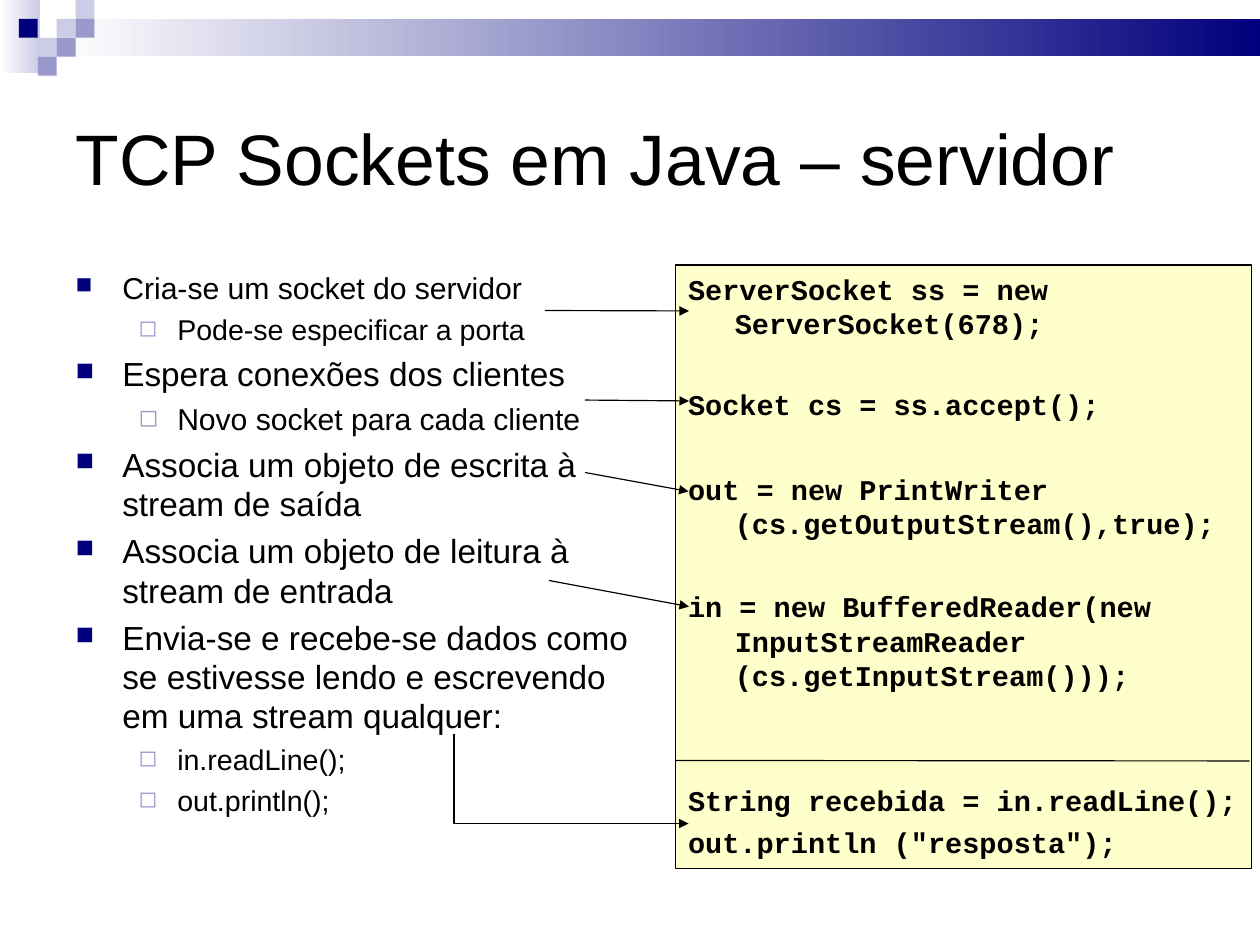
from lxml.etree import SubElement
from pptx import Presentation
from pptx.dml.color import RGBColor
from pptx.enum.shapes import MSO_CONNECTOR, MSO_SHAPE
from pptx.enum.text import MSO_ANCHOR, PP_ALIGN
from pptx.oxml.ns import qn
from pptx.util import Cm, Pt

COLORS = {
    "black": "000000",
    "white": "FFFFFF",
    "navy": "00007D",
    "violet": "9999CC",
    "lavender": "CCCCE6",
    "code": "FFFFCC",
}
TILE = 0.42

# column, row, colour
TILES = [
    (3, 1, "lavender"), (4, 0, "lavender"), (4, 1, "violet"),
    (2, 2, "lavender"), (1, 1, "navy"), (3, 2, "violet"), (2, 3, "violet"),
]

# bullet character, colour, size in percent, left margin, hanging indent
BULLETS = [
    ("■", "navy", 75, 1.04, 1.04),
    ("◻", "violet", 80, 2.26, 0.86),
]

# text, level, size, space before
TOPICS = [
    ("Cria-se um socket do servidor", 0, 19, 0),
    ("Pode-se especificar a porta", 1, 18, 4.5),
    ("Espera conexões dos clientes", 0, 21, 5.2),
    ("Novo socket para cada cliente", 1, 19, 4.8),
    ("Associa um objeto de escrita à stream de saída", 0, 21, 5.2),
    ("Associa um objeto de leitura à stream de entrada", 0, 21, 5.2),
    ("Envia-se e recebe-se dados como se estivesse lendo e escrevendo "
     "em uma stream qualquer:", 0, 21, 5.2),
    ("in.readLine();", 1, 18, 4.5),
    ("out.println();", 1, 18, 4.5),
]

# statement, space before
STATEMENTS = [
    ("ServerSocket ss = new ServerSocket(678);", 0),
    ("Socket cs = ss.accept();", 29.5),
    ("out = new PrintWriter (cs.getOutputStream(),true);", 31.5),
    ("in = new BufferedReader(new InputStreamReader (cs.getInputStream()));", 31),
    ("String recebida = in.readLine();", 57.5),
    ('out.println ("resposta");', 4.5),
]

# start and end points of the arrows from topic to statement
ARROWS = [
    (12.11, 6.9, 15.31, 6.91),
    (13, 8.89, 15.31, 8.91),
    (13, 10.5, 15.3, 10.92),
    (12.2, 12.9, 15.31, 13.48),
    (10.09, 18.3, 15.3, 18.3),
]


def color(name):
    return RGBColor.from_string(COLORS[name])


def add_block(page, left, top, width, height, fill, line=None):
    block = page.shapes.add_shape(
        MSO_SHAPE.RECTANGLE, Cm(left), Cm(top), Cm(width), Cm(height))
    block.shadow.inherit = False
    block.fill.solid()
    block.fill.fore_color.rgb = color(fill)
    if line:
        block.line.color.rgb = color(line)
        block.line.width = Pt(0.75)
    else:
        block.line.fill.background()
    return block


def add_fade(page, left, top, width, height, start, end):
    """Add a block that runs from the start colour to the end colour."""
    block = add_block(page, left, top, width, height, end)
    block.fill.gradient()
    block.fill.gradient_angle = 0
    for stop, name in zip(block.fill.gradient_stops, (start, end)):
        stop.color.rgb = color(name)


def add_line(page, start_x, start_y, end_x, end_y, arrow=False):
    line = page.shapes.add_connector(
        MSO_CONNECTOR.STRAIGHT, Cm(start_x), Cm(start_y), Cm(end_x), Cm(end_y))
    line.line.color.rgb = color("black")
    line.line.width = Pt(0.75)
    if arrow:
        outline = line._element.spPr.find(qn("a:ln"))
        SubElement(outline, qn("a:tailEnd"), type="triangle")
    SubElement(line._element.spPr, qn("a:effectLst"))


def prepare_frame(shape, anchor=MSO_ANCHOR.TOP):
    frame = shape.text_frame
    frame.word_wrap = True
    frame.vertical_anchor = anchor
    frame.margin_left = frame.margin_right = Cm(0.28)
    frame.margin_top = frame.margin_bottom = Cm(0.15)
    return frame


def add_text_box(page, left, top, width, height, **frame_format):
    box = page.shapes.add_textbox(Cm(left), Cm(top), Cm(width), Cm(height))
    return prepare_frame(box, **frame_format)


def set_indent(para, margin, hanging):
    properties = para._p.get_or_add_pPr()
    properties.set("marL", str(Cm(margin)))
    properties.set("indent", str(-Cm(hanging)))
    return properties


def set_bullet(para, level):
    character, tint, size, margin, hanging = BULLETS[level]
    para.level = level
    properties = set_indent(para, margin, hanging)
    bullet_color = SubElement(properties, qn("a:buClr"))
    SubElement(bullet_color, qn("a:srgbClr"), val=COLORS[tint])
    SubElement(properties, qn("a:buSzPct"), val=str(size * 1000))
    SubElement(properties, qn("a:buChar"), char=character)


def add_text(frame, text, size, font="Arial", bold=False, before=0,
             spacing=1.0, level=None, hanging=None):
    para = frame.paragraphs[0]
    if para.runs:
        para = frame.add_paragraph()
    if level is not None:
        set_bullet(para, level)
    elif hanging:
        set_indent(para, hanging, hanging)
    para.alignment = PP_ALIGN.LEFT
    para.space_before = Pt(before)
    para.line_spacing = spacing
    span = para.add_run()
    span.text = text
    span.font.name = font
    span.font.size = Pt(size)
    span.font.bold = bold
    span.font.color.rgb = color("black")


def add_header(page):
    add_fade(page, 0, 0, 0.88, 1.63, "white", "lavender")
    add_fade(page, 1.26, TILE, 26.74, 0.83, "white", "navy")
    for column, row, fill in TILES:
        add_block(page, column * TILE, row * TILE, TILE, TILE, fill)


def main():
    deck = Presentation()
    deck.slide_width, deck.slide_height = Cm(28), Cm(21)
    page = deck.slides.add_slide(deck.slide_layouts[6])

    add_header(page)
    title = add_text_box(page, 1.4, 1.4, 25.2, 4.19, anchor=MSO_ANCHOR.MIDDLE)
    add_text(title, "TCP Sockets em Java – servidor", 45)

    topics = add_text_box(page, 1.4, 5.87, 13.39, 14.05)
    for text, level, size, before in TOPICS:
        add_text(topics, text, size, before=before, spacing=0.98, level=level)

    code = add_block(page, 15.01, 5.89, 12.8, 13.41, "code", line="black")
    statements = prepare_frame(code)
    for text, before in STATEMENTS:
        add_text(statements, text, 18, font="Courier New", bold=True,
                 before=before, hanging=1.04)

    add_line(page, 15.01, 16.9, 27.77, 16.91)
    for arrow in ARROWS:
        add_line(page, *arrow, arrow=True)
    add_line(page, 10.09, 16.3, 10.09, 18.3)
    deck.save("out.pptx")


if __name__ == "__main__":
    main()
